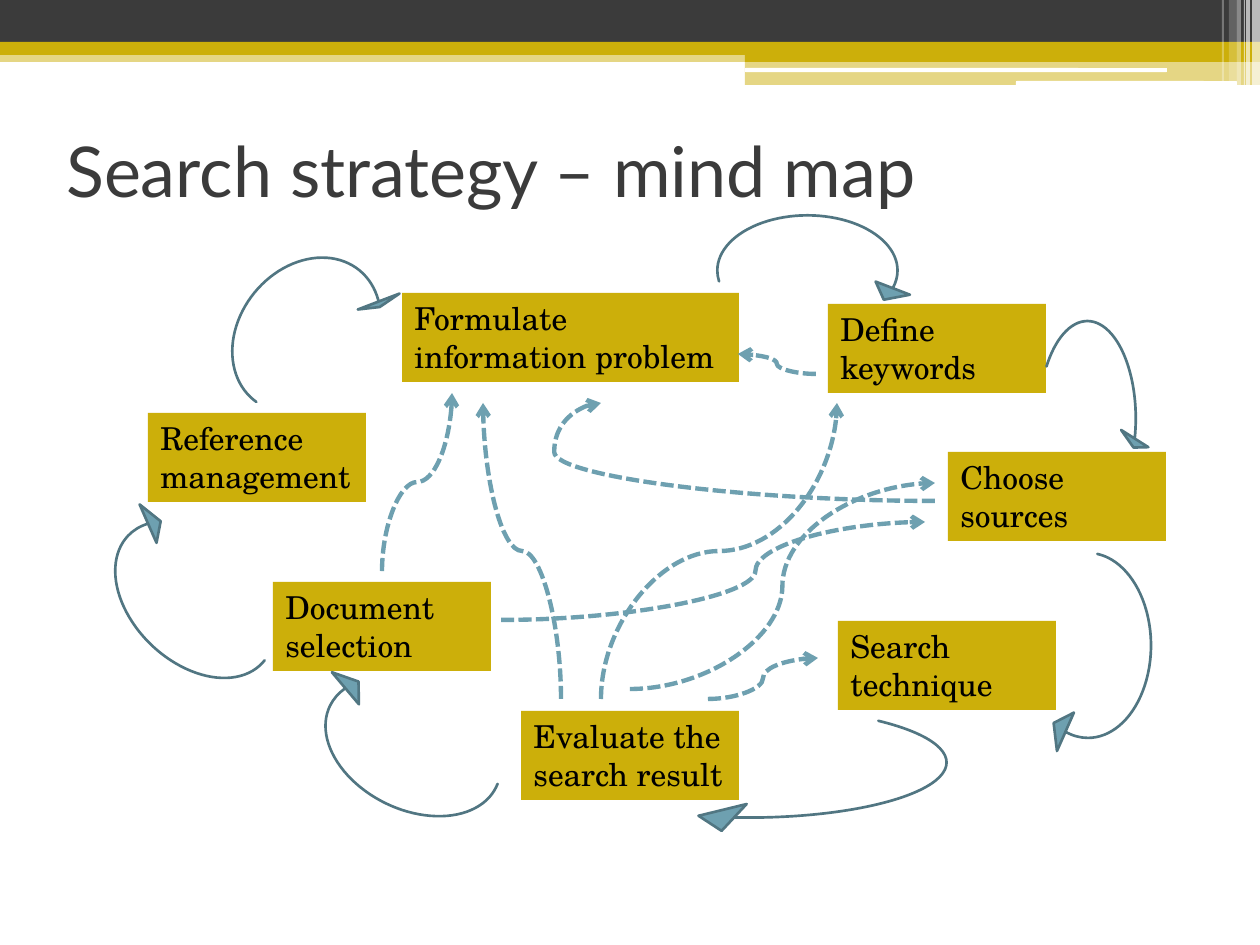
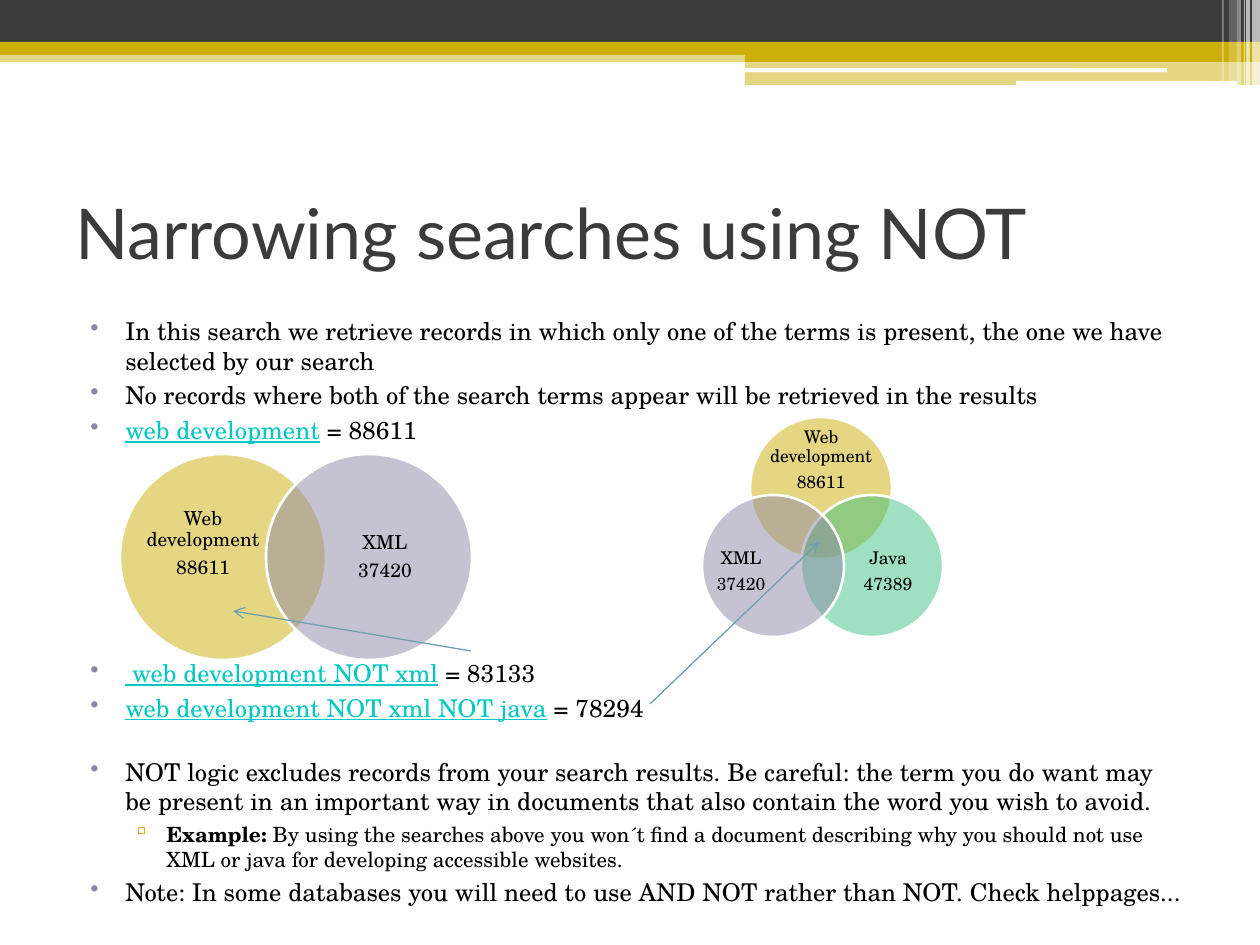
from lxml import etree
from pptx import Presentation
from pptx import util as u
from pptx.dml.color import RGBColor
from pptx.enum import shapes, text
from pptx.oxml.ns import qn

COLORS = {
    "dark": "3B3B3B", "gold": "CCAF0A", "white": "FFFFFF", "black": "000000",
    "teal": "6EA0B0", "teal_dark": "517682", "violet": "8D89A4",
    "green": "3FC281", "link": "00C8C3",
}
TITLE_FONT, BODY_FONT = "Lato", "TeX Gyre Schola"
RECT, ROUND = shapes.MSO_SHAPE.RECTANGLE, shapes.MSO_SHAPE.ROUNDED_RECTANGLE
OVAL, ARC = shapes.MSO_SHAPE.OVAL, shapes.MSO_SHAPE.CIRCULAR_ARROW
ALIGN, ANCHOR = text.PP_ALIGN, text.MSO_ANCHOR

BANDS = [
    (RECT, (0, 50, 1260, 12), "gold", 50),
    (RECT, (0, 0, 1260, 42), "dark", 100),
    (RECT, (0, 42, 1260, 13), "gold", 100),
    (RECT, (745, 49, 515, 13), "gold", 100),
    (RECT, (745, 62, 515, 23), "gold", 50),
    (ROUND, (745, 68, 422, 4), "white", 100),
    (ROUND, (1016, 81, 221, 5), "white", 100),
]
STRIPES = [(1252, 8, 86, 65), (1246, 4, 86, 65), (1244, 1, 86, 60),
           (1237, 4, 86, 40), (1229, 8, 81, 20), (1222, 2, 81, 30)]

STEP_WIDTH, STEP_HEIGHT = 218, 89
STEPS = [
    ("Formulate information problem", 402, 293, 337),
    ("Choose sources", 948, 452, STEP_WIDTH),
    ("Search technique", 838, 621, STEP_WIDTH),
    ("Evaluate the search result", 521, 711, STEP_WIDTH),
    ("Define keywords", 828, 304, STEP_WIDTH),
    ("Document selection", 273, 582, STEP_WIDTH),
    ("Reference management", 148, 413, STEP_WIDTH),
]
CYCLE_ARROWS = [
    ((699, 197, 217, 147), 0, (9.25, 11.71, 173.01)),
    ((1023, 305, 129, 227), 0, (9.25, 23.04, 231.88)),
    ((1004, 532, 168, 227), 0, (9.25, 104.61, 275.9)),
    ((532, 689, 433, 147), 0, (28.5, 104.61, 342.26)),
    ((329, 633, 168, 227), 116.1, (9.25, 104.61, 267.78)),
    ((111, 486, 168, 227), 133.6, (8.06, 104.61, 267.5)),
    ((217, 229, 179, 212), 219.3, (4.01, 115.77, 267.5)),
]
FEEDBACK_ARROWS = [
    ((935, 501), (601, 403), "across", 1.14),
    ((601, 699), (837, 403), "up", 0.5),
    ((561, 699), (483, 403), "up", 0.5),
    ((630, 689), (935, 483), "across", 0.5),
    ((708, 699), (818, 658), "across", 0.5),
    ((816, 374), (738, 354), "across", 0.5),
    ((501, 620), (925, 522), "across", 0.6),
    ((382, 571), (452, 393), "up", 0.5),
]

LINK = {"color": "link", "underline": True}
BOLD = {"bold": True}
TOP_LEVEL = {"bullet": "•", "bullet_color": "violet", "left": 50, "hanging": 35, "size": 14}
SUB_LEVEL = {"bullet": "▫", "bullet_color": "gold", "left": 91, "hanging": 34, "size": 12}
NOT_POINTS = [
    (TOP_LEVEL, 3, [("In this search we retrieve records in which only one of the terms is "
                     "present, the one we have selected by our search", {})]),
    (TOP_LEVEL, 3, [("No records where both of the search terms appear will be retrieved "
                     "in the results", {})]),
    (TOP_LEVEL, 3, [("web development", LINK), (" = 88611", {})]),
    (TOP_LEVEL, 122, [(" web development NOT xml", LINK), (" = 83133", {})]),
    (TOP_LEVEL, 3, [("web development NOT xml NOT java", LINK), (" = 78294", {})]),
    (TOP_LEVEL, 20, [("NOT logic excludes records from your search results. Be careful: the "
                      "term you do want may be present in an important way in documents that "
                      "also contain the word you wish to avoid.", {})]),
    (SUB_LEVEL, 3, [("Example:", BOLD),
                    (" By using the searches above you won´t find a document describing why "
                     "you should not use XML or java for developing accessible websites.", {})]),
    (TOP_LEVEL, 3, [("Note: In some databases you will need to use AND NOT rather than NOT. "
                     "Check helppages...", {})]),
]
VENN_CIRCLES = [
    ((120, 454, 206, 206), "gold", ["Web development", "88611"], (143, 464, 120, 159), 11),
    ((266, 454, 206, 206), "violet", ["XML", "37420"], (325, 478, 120, 159), 11),
    ((750, 417, 142, 142), "gold", ["Web development", "88611"], (768, 428, 106, 64), 10),
    ((801, 495, 142, 142), "green", ["Java", "47389"], (845, 533, 86, 78), 10),
    ((702, 495, 142, 142), "violet", ["XML", "37420"], (698, 533, 86, 78), 10),
]
POINTERS = [((471, 651), (233, 611)), ((650, 704), (819, 542))]


def px(value):
    return u.Emu(round(value * 914400 / 126))


def rgb(name):
    return RGBColor.from_string(COLORS[name])


def add_figure(slide, kind, box, fill, alpha=100, line=None):
    shape = slide.shapes.add_shape(kind, *map(px, box))
    shape.shadow.inherit = False
    shape.fill.solid()
    shape.fill.fore_color.rgb = rgb(fill)
    if alpha < 100:
        color = shape._element.spPr.find(".//" + qn("a:srgbClr"))
        etree.SubElement(color, qn("a:alpha")).set("val", str(alpha * 1000))
    if line:
        shape.line.color.rgb = rgb(line)
        shape.line.width = u.Pt(1.5)
    else:
        shape.line.fill.background()
    return shape


def add_textbox(slide, box):
    return slide.shapes.add_textbox(*map(px, box)).text_frame


def write(frame, paragraphs, size=18, font=BODY_FONT, color="black", align=ALIGN.LEFT,
          anchor=ANCHOR.TOP, spacing=None, after=None, inset=None):
    frame.word_wrap = True
    frame.vertical_anchor = anchor
    if inset is not None:
        frame.margin_left = frame.margin_right = px(inset)
        frame.margin_top = frame.margin_bottom = px(inset)
    for index, item in enumerate(paragraphs):
        level, before, runs = ({}, 0, [(item, {})]) if isinstance(item, str) else item
        paragraph = frame.add_paragraph() if index else frame.paragraphs[0]
        paragraph.alignment = align
        paragraph.space_before = u.Pt(before)
        if spacing:
            paragraph.line_spacing = spacing
        if after:
            paragraph.space_after = u.Pt(after)
        if level:
            add_bullet(paragraph, level)
        for words, style in runs:
            run = paragraph.add_run()
            run.text = words
            run.font.name = font
            run.font.size = u.Pt(level.get("size", size))
            run.font.color.rgb = rgb(style.get("color", color))
            run.font.bold = style.get("bold", False)
            run.font.underline = style.get("underline", False)


def add_bullet(paragraph, level):
    properties = paragraph._p.get_or_add_pPr()
    properties.set("marL", str(px(level["left"])))
    properties.set("indent", str(-px(level["hanging"])))
    color = etree.SubElement(properties, qn("a:buClr"))
    etree.SubElement(color, qn("a:srgbClr")).set("val", COLORS[level["bullet_color"]])
    etree.SubElement(properties, qn("a:buChar")).set("char", level["bullet"])


def add_arrow(slide, kind, start, end, width, dash=None):
    arrow = slide.shapes.add_connector(kind, *map(px, (*start, *end)))
    arrow.line.color.rgb = rgb("teal")
    arrow.line.width = u.Pt(width)
    properties = arrow._element.spPr
    line = properties.find(qn("a:ln"))
    if dash:
        etree.SubElement(line, qn("a:prstDash")).set("val", dash)
    etree.SubElement(line, qn("a:tailEnd")).set("type", "arrow")
    etree.SubElement(properties, qn("a:effectLst"))
    return arrow


def add_feedback_arrow(slide, start, end, direction, bend):
    if direction == "up":
        center_x, center_y = (start[0] + end[0]) / 2, (start[1] + end[1]) / 2
        half_run, half_rise = (end[0] - start[0]) / 2, (start[1] - end[1]) / 2
        start = center_x - half_rise, center_y - half_run
        end = center_x + half_rise, center_y + half_run
    arrow = add_arrow(slide, shapes.MSO_CONNECTOR.CURVE, start, end, 2.5, "sysDash")
    properties = arrow._element.spPr
    if direction == "up":
        properties.find(qn("a:xfrm")).set("rot", str(270 * 60000))
    guide = etree.SubElement(properties.find(".//" + qn("a:avLst")), qn("a:gd"))
    guide.set("name", "adj1")
    guide.set("fmla", f"val {round(bend * 100000)}")


def add_cycle_arrow(slide, box, rotation, angles):
    arrow = add_figure(slide, ARC, box, "teal", line="teal_dark")
    arrow.rotation = rotation
    for index, value in enumerate([0, *(angle * 0.6 for angle in angles), 0.125]):
        arrow.adjustments[index] = value


def add_slide(presentation, title, left, top):
    slide = presentation.slides.add_slide(presentation.slide_layouts[6])
    for kind, box, fill, alpha in BANDS:
        add_figure(slide, kind, box, fill, alpha)
    for x, width, height, alpha in STRIPES:
        add_figure(slide, RECT, (x, 0, width, height), "white", alpha)
    write(add_textbox(slide, (left, top, 1134, 147)), [title], size=40,
          font=TITLE_FONT, color="dark", anchor=ANCHOR.MIDDLE)
    return slide


def build_mind_map(presentation):
    slide = add_slide(presentation, "Search strategy – mind map", 54, 96)
    for label, left, top, width in STEPS:
        step = add_figure(slide, RECT, (left, top, width, STEP_HEIGHT), "gold")
        write(step.text_frame, [label])
    for arrow in CYCLE_ARROWS:
        add_cycle_arrow(slide, *arrow)
    for arrow in FEEDBACK_ARROWS:
        add_feedback_arrow(slide, *arrow)


def build_not_search(presentation):
    slide = add_slide(presentation, "Narrowing searches using NOT", 63, 158)
    write(add_textbox(slide, (63, 310, 1134, 596)), NOT_POINTS)
    for circle, fill, *_ in VENN_CIRCLES:
        add_figure(slide, OVAL, circle, fill, 50, "white")
    for start, end in POINTERS:
        add_arrow(slide, shapes.MSO_CONNECTOR.STRAIGHT, start, end, 0.75)
    for *_, label, label_box, size in VENN_CIRCLES:
        write(add_textbox(slide, label_box), label, size=size, align=ALIGN.CENTER,
              anchor=ANCHOR.MIDDLE, spacing=0.9, after=4, inset=0)


def main():
    presentation = Presentation()
    presentation.slide_width, presentation.slide_height = px(1260), px(945)
    build_mind_map(presentation)
    build_not_search(presentation)
    presentation.save("out.pptx")


if __name__ == "__main__":
    main()
